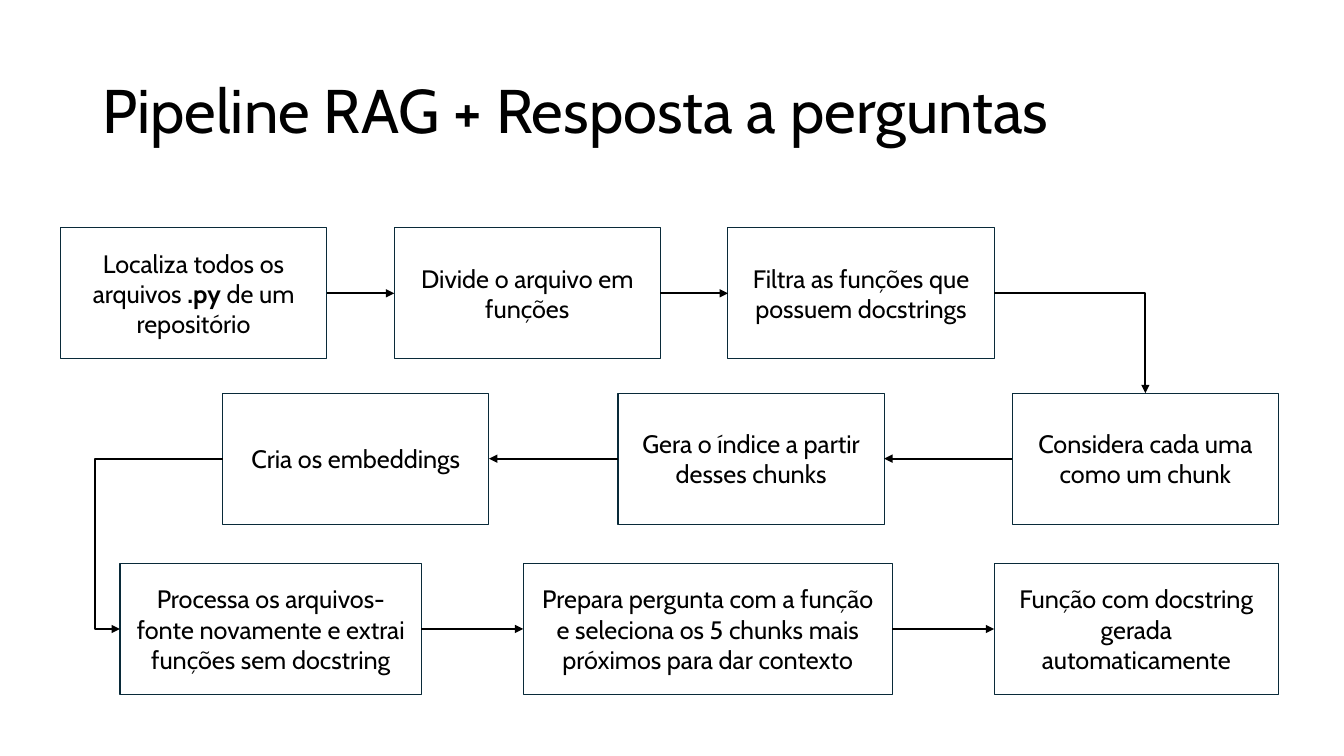
from dataclasses import dataclass

from lxml.etree import SubElement
from pptx import Presentation
from pptx.dml.color import RGBColor
from pptx.enum.shapes import MSO_CONNECTOR as Connector, MSO_SHAPE as Preset
from pptx.enum.text import MSO_ANCHOR as Anchor, PP_ALIGN as Align
from pptx.oxml.ns import qn
from pptx.shapes.autoshape import Shape
from pptx.slide import Slide
from pptx.text.text import TextFrame
from pptx.util import Inches, Pt

TOP, LEFT, BOTTOM, RIGHT = range(4)
BOX_HEIGHT = 1.3


@dataclass(frozen=True)
class Theme:
    font: str = "Cabin"
    ink: RGBColor = RGBColor(0, 0, 0)
    paper: RGBColor = RGBColor(255, 255, 255)
    border: RGBColor = RGBColor(0x09, 0x2A, 0x39)
    title_size: float = 44
    step_size: float = 18
    border_width: float = 0.75
    arrow_width: float = 1.5


@dataclass(frozen=True)
class Step:
    left: float
    top: float
    width: float
    text: str
    bold: str = ""


@dataclass(frozen=True)
class Arrow:
    start_side: int
    end_side: int
    preset: str = "line"
    bend: float | None = None


THEME = Theme()
ROW_TOPS = (2.26, 3.9, 5.59)
STEPS = (
    Step(0.6, ROW_TOPS[0], 2.64, "Localiza todos os arquivos .py de um repositório", ".py"),
    Step(3.91, ROW_TOPS[0], 2.64, "Divide o arquivo em funções"),
    Step(7.22, ROW_TOPS[0], 2.64, "Filtra as funções que possuem docstrings"),
    Step(10.04, ROW_TOPS[1], 2.64, "Considera cada uma como um chunk"),
    Step(6.13, ROW_TOPS[1], 2.64, "Gera o índice a partir desses chunks"),
    Step(2.21, ROW_TOPS[1], 2.64, "Cria os embeddings"),
    Step(1.19, ROW_TOPS[2], 2.99,
         "Processa os arquivos-fonte novamente e extrai funções sem docstring"),
    Step(5.19, ROW_TOPS[2], 3.66,
         "Prepara pergunta com a função e seleciona os 5 chunks mais próximos para dar contexto"),
    Step(9.86, ROW_TOPS[2], 2.82, "Função com docstring gerada automaticamente"),
)
RIGHTWARD = Arrow(RIGHT, LEFT)
LEFTWARD = Arrow(LEFT, RIGHT)
ARROWS = (
    RIGHTWARD,
    RIGHTWARD,
    Arrow(RIGHT, TOP, "bentConnector2"),
    LEFTWARD,
    LEFTWARD,
    Arrow(LEFT, LEFT, "bentConnector3", 1.24),
    RIGHTWARD,
    RIGHTWARD,
)


def write_text(frame: TextFrame, text: str, *, size: float, align: Align,
               bold: str = "", spacing: float = 1.0) -> None:
    frame.word_wrap = True
    frame.vertical_anchor = Anchor.MIDDLE
    para = frame.paragraphs[0]
    para.alignment = align
    para.line_spacing = spacing
    before, match, after = text.partition(bold) if bold else (text, "", "")
    for words, is_bold in ((before, False), (match, True), (after, False)):
        if words:
            span = para.add_run()
            span.text = words
            span.font.name = THEME.font
            span.font.size = Pt(size)
            span.font.bold = is_bold
            span.font.color.rgb = THEME.ink


def draw_title(page: Slide, text: str) -> None:
    box = page.shapes.add_textbox(Inches(0.92), Inches(0.4), Inches(11.5), Inches(1.45))
    write_text(box.text_frame, text, size=THEME.title_size, align=Align.LEFT, spacing=0.9)


def draw_step(page: Slide, step: Step) -> Shape:
    box = page.shapes.add_shape(Preset.RECTANGLE, Inches(step.left), Inches(step.top),
                                Inches(step.width), Inches(BOX_HEIGHT))
    box.shadow.inherit = False
    box.fill.solid()
    box.fill.fore_color.rgb = THEME.paper
    box.line.color.rgb = THEME.border
    box.line.width = Pt(THEME.border_width)
    write_text(box.text_frame, step.text, size=THEME.step_size,
               align=Align.CENTER, bold=step.bold)
    return box


def draw_arrow(page: Slide, arrow: Arrow, start: Shape, end: Shape) -> None:
    kind = Connector.STRAIGHT if arrow.preset == "line" else Connector.ELBOW
    connector = page.shapes.add_connector(kind, 0, 0, 0, 0)
    connector.begin_connect(start, arrow.start_side)
    connector.end_connect(end, arrow.end_side)
    connector.line.color.rgb = THEME.ink
    connector.line.width = Pt(THEME.arrow_width)
    properties = connector.element.spPr
    SubElement(properties.find(qn("a:ln")), qn("a:tailEnd"), type="triangle")
    SubElement(properties, qn("a:effectLst"))
    geometry = properties.find(qn("a:prstGeom"))
    geometry.set("prst", arrow.preset)
    if arrow.bend is not None:
        SubElement(geometry.find(qn("a:avLst")), qn("a:gd"), name="adj1",
                   fmla=f"val {round(arrow.bend * 100000)}")


def main() -> None:
    deck = Presentation()
    deck.slide_width = Inches(13.33)
    deck.slide_height = Inches(7.5)
    page = deck.slides.add_slide(deck.slide_layouts[6])
    draw_title(page, "Pipeline RAG + Resposta a perguntas")
    boxes = [draw_step(page, step) for step in STEPS]
    for arrow, start, end in zip(ARROWS, boxes, boxes[1:]):
        draw_arrow(page, arrow, start, end)
    deck.save("out.pptx")


if __name__ == "__main__":
    main()
